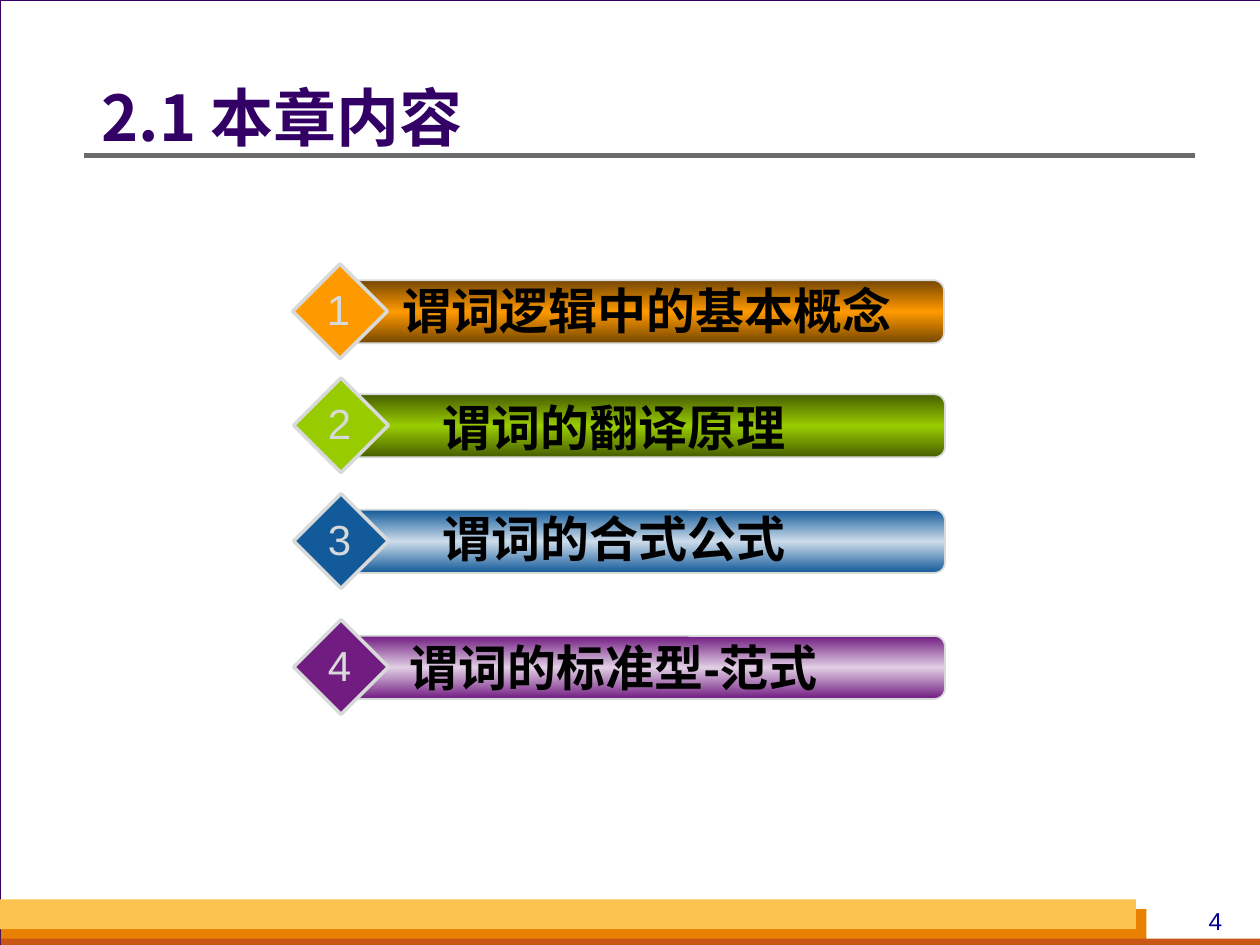
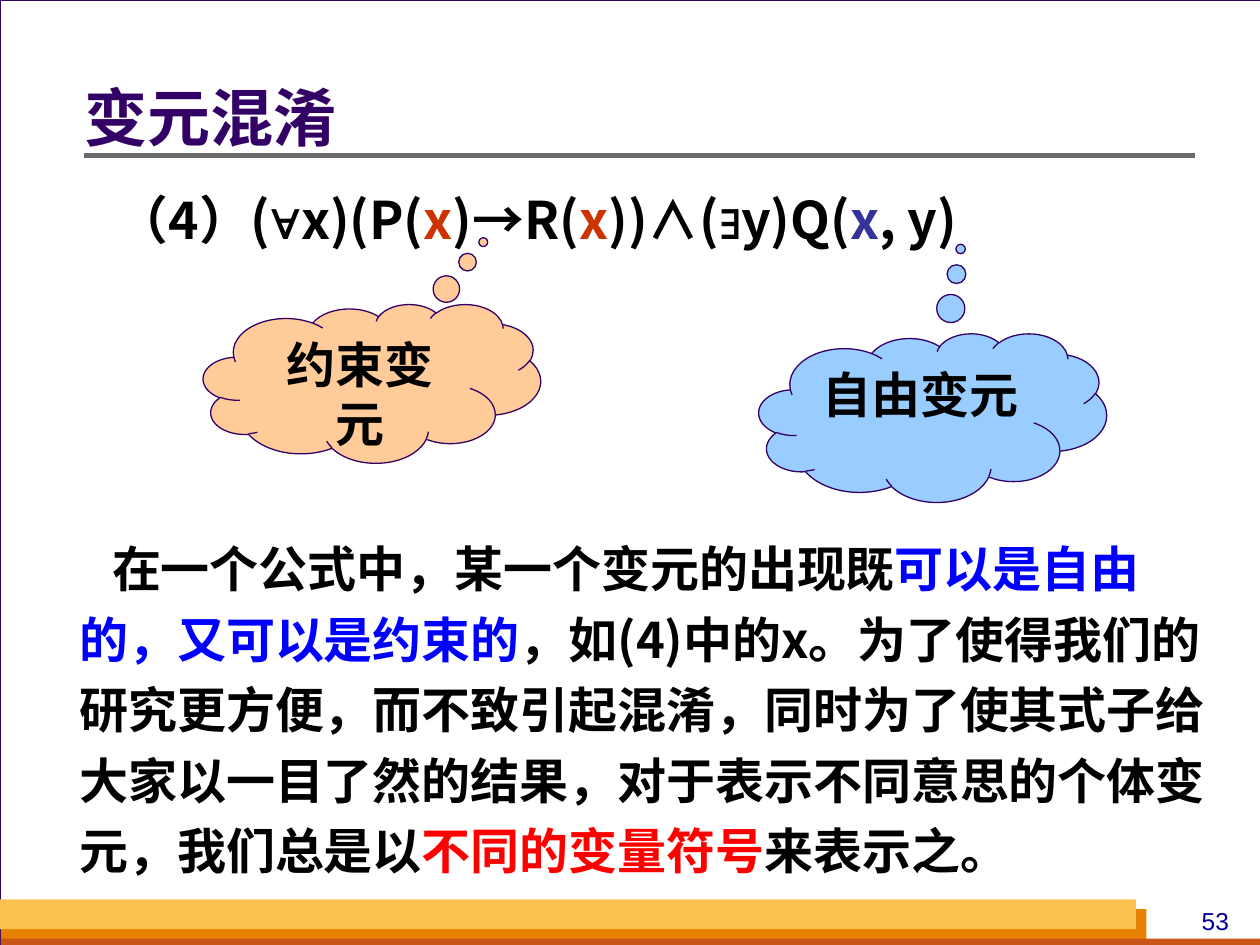
from copy import deepcopy

from lxml.etree import SubElement
from pptx import Presentation
from pptx.dml.color import RGBColor
from pptx.enum.shapes import MSO_CONNECTOR, MSO_SHAPE as Shape
from pptx.enum.text import MSO_ANCHOR as Anchor, PP_ALIGN as Align
from pptx.oxml.ns import qn
from pptx.util import Cm, Pt

SANS = "Noto Sans CJK SC"
ARIAL = "Arial"
PURPLE = "330066"
SILVER = "D8DADA"
WHITE = "FFFFFF"
BLACK = "000000"
RUST = "CC3300"
INDIGO = "333399"
BLUE = "0000FF"
RED = "FF0000"
NAVY = "000099"
GREY = "6B6B6B"

BANDS = [
    ("E88000", 0.02, 18.33, 23.09, 0.71),
    ("C95616", 0.02, 18.92, 25.38, 0.13),
    ("FCC24F", 0, 18.13, 22.9, 0.6),
]

CHAPTERS = [
    ("谓词逻辑中的基本概念", "FF9900", ("764700", "FF9900"), 6.96, 5.65, 10.9, 0.12),
    ("谓词的翻译原理", "99CC00", ("475E00", "99CC00"), 6.98, 7.95, 9.53, 0.07),
    ("谓词的合式公式", "135A9A", ("135A9A", "CDDCEA"), 6.98, 10.28, 9.53, 0.15),
    ("谓词的标准型-范式", "711C81", ("711C81", "E1CFE4"), 6.98, 12.82, 9.53, 0.09),
]

FORMULA = [
    ("（4）(", BLACK, SANS), ("∀", BLACK, ARIAL), ("x)(P(", BLACK, SANS),
    ("x", RUST, SANS), (")→R(", BLACK, SANS), ("x", RUST, SANS),
    ("))∧(", BLACK, SANS), ("∃", BLACK, ARIAL), ("y)Q(", BLACK, SANS),
    ("x", INDIGO, SANS), (", y)", BLACK, SANS),
]

EXPLANATION = [
    ("在一个公式中，某一个变元的出现既", BLACK, SANS),
    ("可以是自由的，又可以是约束的", BLUE, SANS),
    ("，如(4)中的x。为了使得我们的研究更方便，而不致引起混淆，同时为了使其式子"
     "给大家以一目了然的结果，对于表示不同意思的个体变元，我们总是以", BLACK, SANS),
    ("不同的变量符号", RED, SANS),
    ("来表示之。", BLACK, SANS),
]


def color(hex_code):
    """Turn a hex string into a colour."""
    return RGBColor.from_string(hex_code)


def lengths(*values):
    """Turn centimetre numbers into lengths."""
    return [Cm(value) for value in values]


def write(frame, spans, size, bold=True, align=Align.LEFT, spacing=None):
    """Fill a text frame with one paragraph of (text, colour, font) spans."""
    para = frame.paragraphs[0]
    para.alignment = align
    para._p.get_or_add_pPr().set("hangingPunct", "0")
    if spacing:
        para.line_spacing = spacing
    for text, hex_code, font_name in spans:
        span = para.add_run()
        span.text = text
        span.font.size = Pt(size)
        span.font.bold = bold
        span.font.name = font_name
        span.font.color.rgb = color(hex_code)
        east_asian = SubElement(span.font._element, qn("a:ea"))
        east_asian.set("typeface", font_name)
    return para


def add_text(shapes, place, spans, size, inset=None, anchor=Anchor.TOP, wrap=True, **style):
    """Add a text box and return its paragraph."""
    frame = shapes.add_textbox(*lengths(*place)).text_frame
    frame.word_wrap = wrap
    frame.vertical_anchor = anchor
    if inset is not None:
        frame.margin_left = frame.margin_right = Cm(inset)
        frame.margin_top = frame.margin_bottom = Cm(inset)
    return write(frame, spans, size, **style)


def add_figure(shapes, kind, place, fill, line=None, width=0.75):
    """Add a preset shape with a plain fill and an optional outline."""
    figure = shapes.add_shape(kind, *lengths(*place))
    figure.shadow.inherit = False
    figure.fill.solid()
    figure.fill.fore_color.rgb = color(fill)
    if line:
        figure.line.color.rgb = color(line)
        figure.line.width = Pt(width)
    else:
        figure.line.fill.background()
    return figure


def shade(figure, edge, middle):
    """Give a figure a vertical gradient that is mirrored about its middle."""
    figure.fill.gradient()
    figure.fill.gradient_angle = 90
    stop_list = figure._element.spPr.find(qn("a:gradFill")).find(qn("a:gsLst"))
    stop_list.append(deepcopy(stop_list[0]))
    tones = [(0, edge), (0.5, middle), (1, edge)]
    for stop, (position, hex_code) in zip(figure.fill.gradient_stops, tones):
        stop.position = position
        stop.color.rgb = color(hex_code)


def add_rule(shapes):
    """Draw the grey line under the title."""
    rule = shapes.add_connector(MSO_CONNECTOR.STRAIGHT, *lengths(1.7, 3.13, 24.09, 3.13))
    rule.line.color.rgb = color(GREY)
    rule.line.width = Pt(3)
    SubElement(rule._element.spPr, qn("a:effectLst"))


def add_page(deck, title, title_left, number):
    """Add a page with its frame, bands, number, rule and title."""
    page = deck.slides.add_slide(deck.slide_layouts[6])
    page.background.fill.solid()
    page.background.fill.fore_color.rgb = color(SILVER)
    shapes = page.shapes
    add_figure(shapes, Shape.RECTANGLE, (0, 0, 25.43, 19.05), WHITE, PURPLE)
    for fill, *place in BANDS:
        add_figure(shapes, Shape.RECTANGLE, place, fill)
    add_text(shapes, (23.7, 18.14, 1.6, 0.86), [(number, NAVY, ARIAL)], 14,
             bold=False, align=Align.CENTER)
    add_rule(shapes)
    add_text(shapes, (title_left, 1.15, 24.1 - title_left, 2.57),
             [(title, PURPLE, SANS)], 36, inset=0, anchor=Anchor.MIDDLE, spacing=0.9)
    return page


def add_chapter(page, number, chapter):
    """Add a group of a shaded bar, a numbered diamond and a label."""
    label, accent, tones, left, top, label_width, label_rise = chapter
    shapes = page.shapes.add_group_shape().shapes
    bar = add_figure(shapes, Shape.ROUNDED_RECTANGLE, (left, top, 12.07, 1.27),
                     accent, SILVER, 1)
    shade(bar, *tones)
    add_figure(shapes, Shape.DIAMOND, (left - 1.06, top - 0.33, 1.91, 1.91),
               accent, SILVER, 2)
    add_text(shapes, (left + 0.63, top - label_rise, label_width, 1.45),
             [(label, BLACK, ARIAL)], 28, align=Align.CENTER)
    add_text(shapes, (left - 0.62, top - 0.06, 0.97, 1.27),
             [(str(number), SILVER, ARIAL)], 24, wrap=False, bold=False,
             align=Align.CENTER)


def add_cloud(page, place, tail, fill, label):
    """Add a thought cloud whose tail points at a variable."""
    cloud = add_figure(page.shapes, Shape.CLOUD_CALLOUT, place, fill, PURPLE)
    for index, offset in enumerate(tail):
        cloud.adjustments[index] = offset
    frame = cloud.text_frame
    frame.word_wrap = True
    frame.vertical_anchor = Anchor.TOP
    frame.margin_left = frame.margin_right = Cm(0.28)
    write(frame, [(label, BLACK, ARIAL)], 28, align=Align.CENTER)


def build_contents(deck):
    """Build the chapter overview."""
    page = add_page(deck, "2.1 本章内容", 2.05, "4")
    for number, chapter in enumerate(CHAPTERS, 1):
        add_chapter(page, number, chapter)


def build_confusion(deck):
    """Build the page on bound and free variables."""
    page = add_page(deck, "变元混淆", 1.7, "53")
    add_text(page.shapes, (2.1, 3.53, 22.4, 2.34), FORMULA, 29.6, spacing=1.1)
    add_cloud(page, (4.1, 6.13, 6.8, 3.2), (0.33, -0.89), "FFCC99", "约束变元")
    add_cloud(page, (15.3, 6.72, 7.01, 3.4), (0.08, -1), "99CCFF", "自由变元")
    para = add_text(page.shapes, (1.5, 10.52, 23.06, 7.32), EXPLANATION, 28,
                    inset=0.1, spacing=1.2)
    para._p.get_or_add_pPr().set("indent", str(Cm(0.66)))


def main():
    """Build the deck and save it."""
    deck = Presentation()
    deck.slide_width, deck.slide_height = lengths(25.4, 19.05)
    build_contents(deck)
    build_confusion(deck)
    deck.save("out.pptx")


if __name__ == "__main__":
    main()
